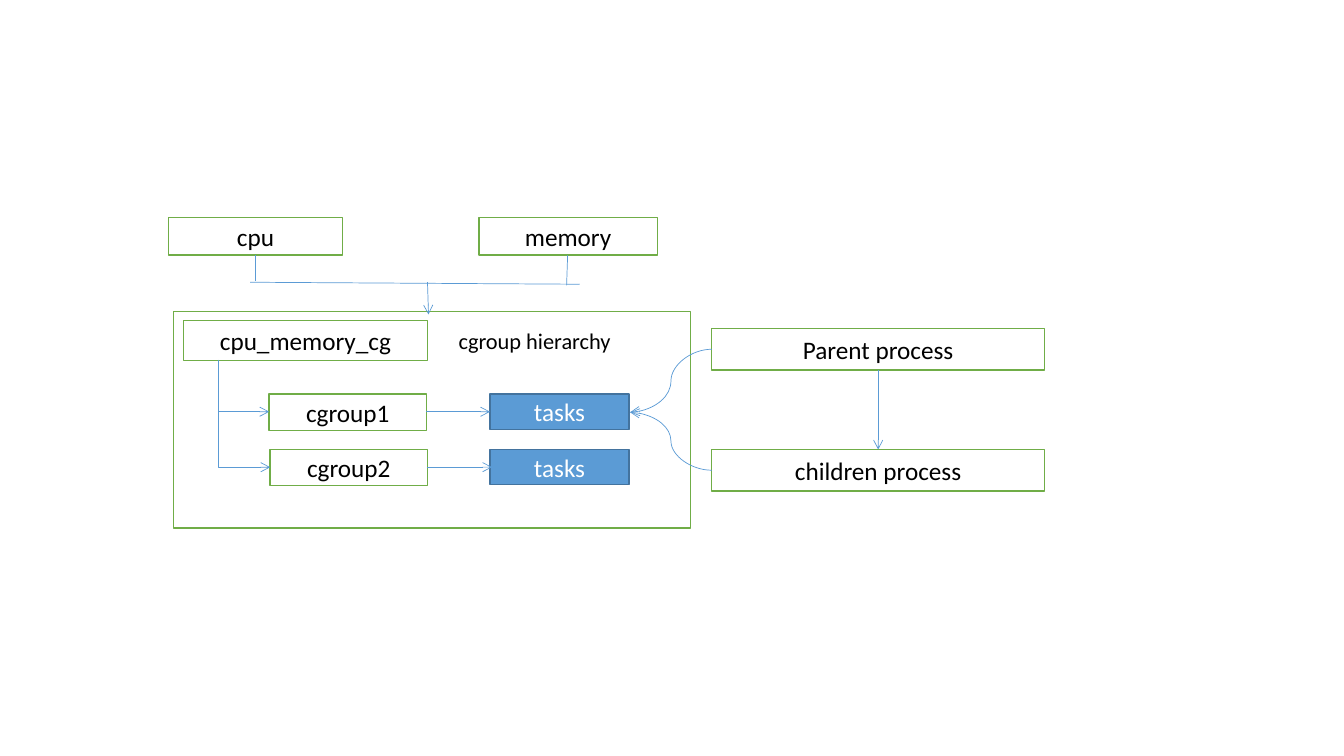
from lxml.etree import SubElement
from pptx import Presentation
from pptx.dml.color import RGBColor
from pptx.enum.shapes import MSO_CONNECTOR, MSO_SHAPE
from pptx.enum.text import MSO_ANCHOR, PP_ALIGN
from pptx.oxml.ns import qn
from pptx.util import Inches, Pt

CELL = 0.1  # side of one grid cell in inches
GREEN, BLUE, NAVY = "70AD47", "5B9BD5", "43739E"
WHITE, BLACK = "FFFFFF", "000000"


def tint(code):
    """Turn a hex string into a colour."""
    return RGBColor.from_string(code)


def cells(*sizes):
    """Turn grid cells into lengths."""
    return [Inches(size * CELL) for size in sizes]


def write(shape, text, size, color):
    """Put one line of text into a shape."""
    shape.text_frame.word_wrap = True
    shape.text_frame.text = text
    font = shape.text_frame.paragraphs[0].runs[0].font
    font.name, font.size = "Calibri", Pt(size)
    font.color.rgb = tint(color)


def block(slide, box, x, y, wide, high, text="",
          fill=WHITE, edge=GREEN, color=BLACK):
    """Draw a rectangle at a place inside the box."""
    shape = slide.shapes.add_shape(
        MSO_SHAPE.RECTANGLE, *cells(box[0] + x, box[1] + y, wide, high))
    shape.shadow.inherit = False
    shape.fill.solid()
    shape.fill.fore_color.rgb = tint(fill)
    shape.line.color.rgb = tint(edge)
    shape.line.width = Pt(1)
    if text:
        write(shape, text, 18, color)
        shape.text_frame.vertical_anchor = MSO_ANCHOR.MIDDLE
        shape.text_frame.paragraphs[0].alignment = PP_ALIGN.CENTER


def link(slide, box, start, end, kind=MSO_CONNECTOR.STRAIGHT, arrow=True):
    """Draw a connector between two points inside the box."""
    x, y = box[:2]
    line = slide.shapes.add_connector(
        kind, *cells(x + start[0], y + start[1], x + end[0], y + end[1]))
    line.line.color.rgb = tint(BLUE)
    line.line.width = Pt(0.5)
    props = line._element.spPr
    if arrow:
        SubElement(props.find(qn("a:ln")), qn("a:tailEnd"), type="arrow")
    if kind == MSO_CONNECTOR.ELBOW:  # turn at the start: down, then across
        guides = props.find(qn("a:prstGeom")).get_or_add_avLst()
        SubElement(guides, qn("a:gd"), name="adj1", fmla="val 0")
    SubElement(props, qn("a:effectLst"))


def tree(slide, box):
    """Draw the cgroup hierarchy with its groups and tasks."""
    block(slide, box, 0, 0, *box[2:])
    block(slide, box, 1, 0.9, 24.2, 4, "cpu_memory_cg")
    label = slide.shapes.add_textbox(
        *cells(box[0] + 27.3, box[1] + 1.1, 22.8, 3.7))
    write(label, "cgroup hierarchy", 16, BLACK)
    for row, name in enumerate(("cgroup1", "cgroup2")):
        left, top = 9.5 + 0.1 * row, 8.2 + 5.5 * row
        mid = top + 1.75
        block(slide, box, left, top, 15.6, 3.6, name)
        block(slide, box, 31.4, top, 13.8, 3.5, "tasks", BLUE, NAVY, WHITE)
        link(slide, box, (4.5, 4.8), (left, mid), MSO_CONNECTOR.ELBOW)
        link(slide, box, (left + 15.6, mid), (31.4 + 0.2 * row, mid))


def sources(slide, box):
    """Draw the two subsystems and the bar that joins them."""
    block(slide, box, 0, 0, 17.3, 3.7, "cpu")
    block(slide, box, 30.8, 0, 17.7, 3.7, "memory")
    link(slide, box, (8.1, 6.4), (40.8, 6.6), arrow=False)
    link(slide, box, (8.6, 3.7), (8.6, 6.3), arrow=False)
    link(slide, box, (39.6, 3.7), (39.5, 6.7), arrow=False)
    link(slide, box, (25.7, 6.4), (25.8, box[3]))


def tasks(slide, box):
    """Draw both processes with curves back to the first tasks block."""
    wide, high = box[2], 4.1
    last = box[3] - high
    for top, name in ((0, "Parent process"), (last, "children process")):
        block(slide, box, 0, top, wide, high, name)
        link(slide, box, (0, top + high / 2), (-8.1, 8.3),
             MSO_CONNECTOR.CURVE)
    link(slide, box, (wide / 2, high), (wide / 2, last))


def main():
    """Build the slide and save it."""
    deck = Presentation()
    deck.slide_width, deck.slide_height = Inches(13.33), Inches(7.5)
    slide = deck.slides.add_slide(deck.slide_layouts[6])
    tree(slide, (17.2, 30.9, 51.3, 21.5))
    sources(slide, (16.7, 21.6, 48.5, 9.6))
    tasks(slide, (70.6, 32.6, 33, 16.1))
    deck.save("out.pptx")


main()
